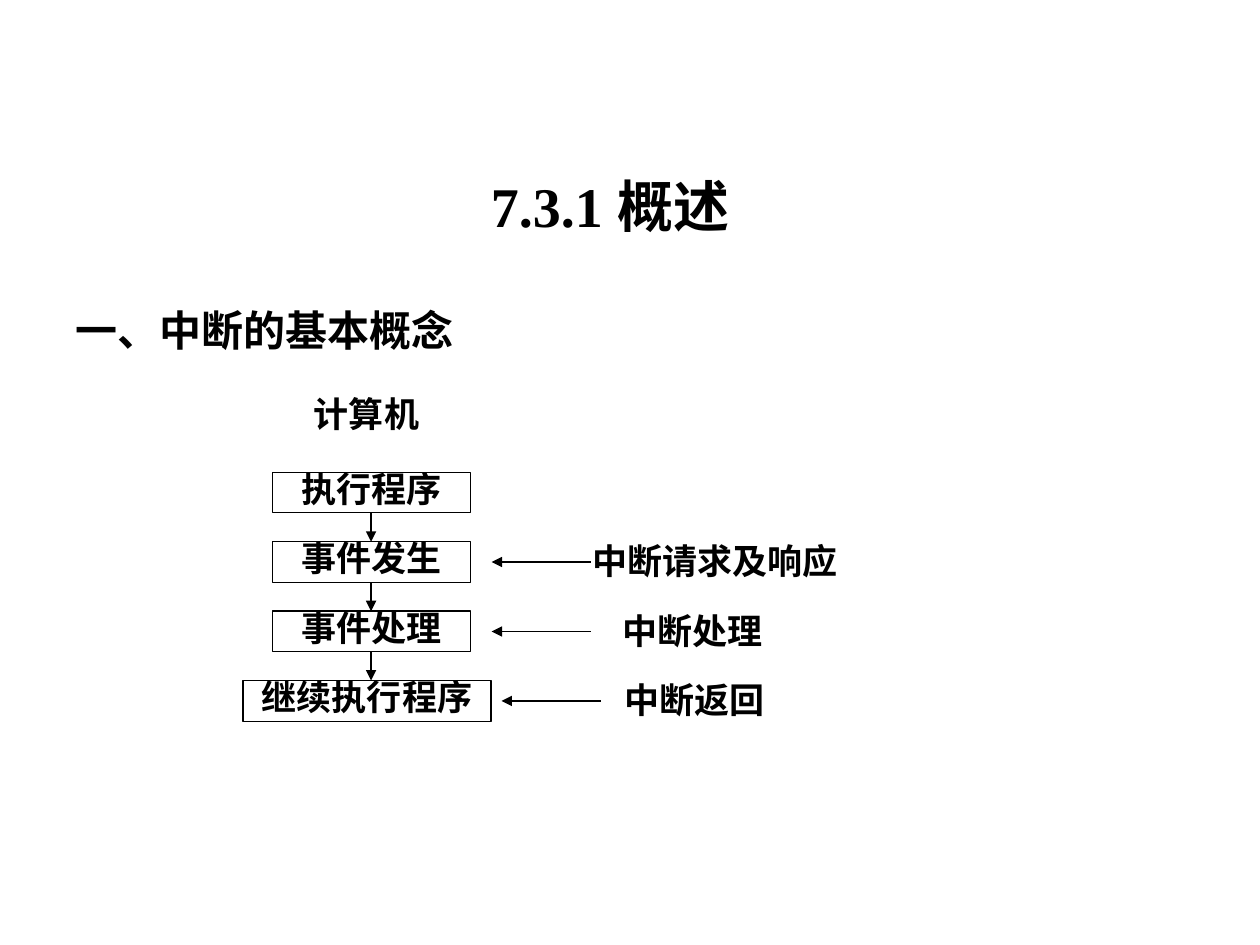
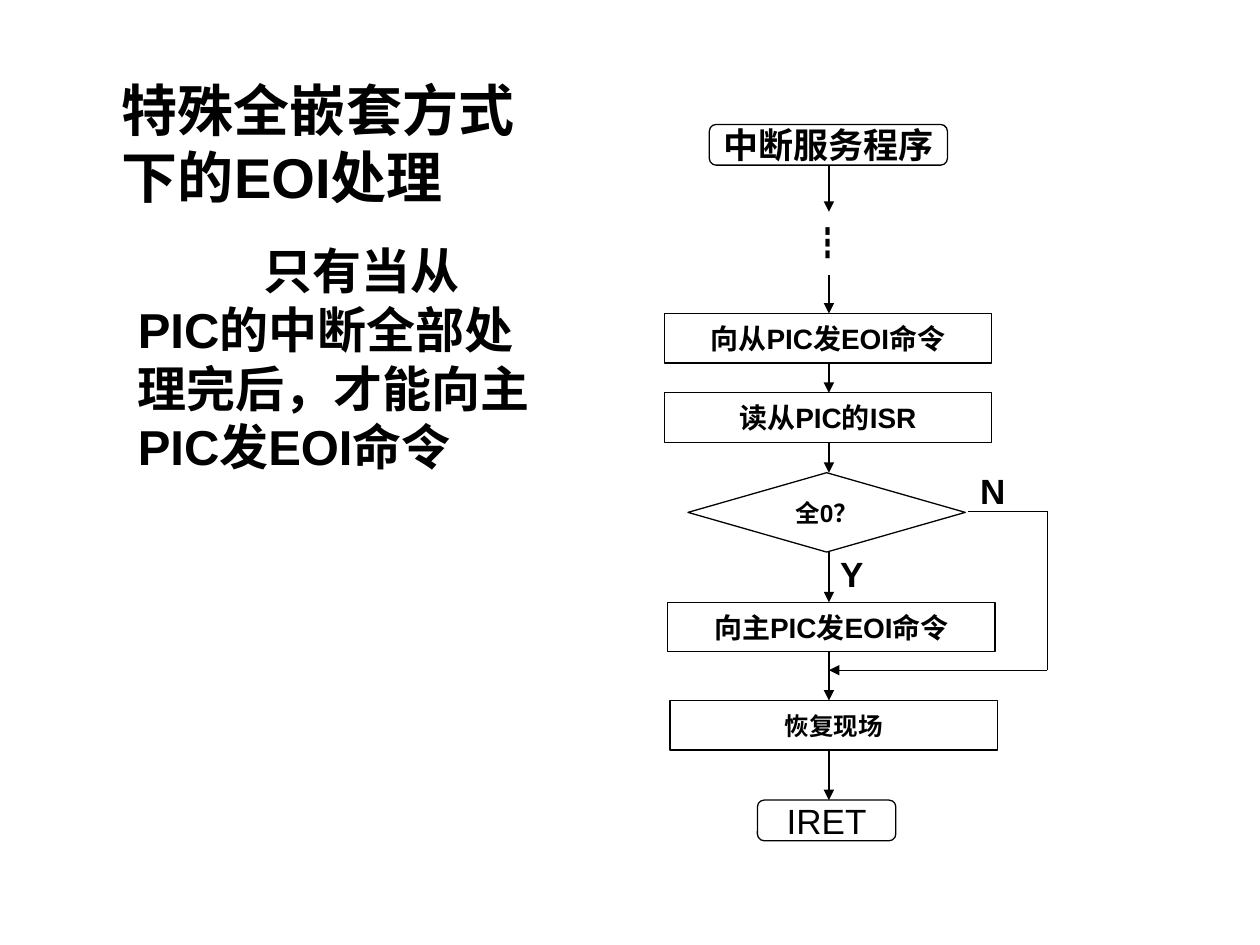
from itertools import pairwise

from lxml.etree import SubElement
from pptx import Presentation
from pptx.dml.color import RGBColor
from pptx.enum.shapes import MSO_CONNECTOR, MSO_SHAPE
from pptx.enum.text import MSO_ANCHOR, PP_ALIGN
from pptx.oxml.ns import qn
from pptx.util import Cm, Pt

COLORS = {"ink": "000000"}
SERIF, SANS, CJK = "Times New Roman", "Arial", "Noto Sans CJK SC"
INK = RGBColor.from_string(COLORS["ink"])
LINE_WIDTH = Pt(0.75)
TITLE_SIZE = 32


def style_paragraph(p, size, font=SANS, bold=True, align=PP_ALIGN.CENTER):
    p.alignment = align
    p.font.name = font
    p.font.size = Pt(size)
    p.font.bold = bold
    p.font.color.rgb = INK
    SubElement(p._p.pPr.find(qn("a:defRPr")), qn("a:ea"), typeface=CJK)


def clear_margins(tf):
    tf.margin_left = tf.margin_top = tf.margin_right = tf.margin_bottom = 0


def add_text(slide, text, left, top, width, height, size=20, **style):
    tf = slide.shapes.add_textbox(Cm(left), Cm(top), Cm(width), Cm(height)).text_frame
    clear_margins(tf)
    tf.word_wrap = True
    p = tf.paragraphs[0]
    p.text = text
    style_paragraph(p, size, **style)
    return tf


def add_box(slide, kind, text, left, top, width, height, size=20, **style):
    sp = slide.shapes.add_shape(kind, Cm(left), Cm(top), Cm(width), Cm(height))
    sp.shadow.inherit = False
    sp.fill.background()
    sp.line.color.rgb = INK
    sp.line.width = LINE_WIDTH
    tf = sp.text_frame
    clear_margins(tf)
    tf.word_wrap = False
    tf.vertical_anchor = MSO_ANCHOR.MIDDLE
    p = tf.paragraphs[0]
    p.text = text
    style_paragraph(p, size, **style)
    return tf


def add_line(slide, x1, y1, x2, y2, arrow=True):
    line = slide.shapes.add_connector(
        MSO_CONNECTOR.STRAIGHT, Cm(x1), Cm(y1), Cm(x2), Cm(y2))
    line.line.color.rgb = INK
    line.line.width = LINE_WIDTH
    if arrow:
        SubElement(line.line._get_or_add_ln(), qn("a:tailEnd"), type="triangle")
    SubElement(line._element.spPr, qn("a:effectLst"))


def build_overview(slide):
    add_text(slide, "7.3.1 概述", 7.7, 3.45, 9.2, 1.4, TITLE_SIZE, font=SERIF)
    add_text(slide, "一、中断的基本概念", 1.52, 6.13, 12, 1.2, 24, align=PP_ALIGN.LEFT)
    add_text(slide, "计算机", 5.89, 7.92, 3, 0.84)

    axis, first_top, pitch, height = 7.48, 9.52, 1.4, 0.82
    steps = [("执行程序", 5.49, 3.99), ("事件发生", 5.49, 3.99),
             ("事件处理", 5.49, 3.99), ("继续执行程序", 4.9, 5)]
    for i, (text, left, width) in enumerate(steps):
        top = first_top + i * pitch
        tf = add_box(slide, MSO_SHAPE.RECTANGLE, text, left, top, width, height, font=SERIF)
        tf.vertical_anchor = MSO_ANCHOR.TOP
        tf.paragraphs[0].line_spacing = 0.9
        if i:
            add_line(slide, axis, top - pitch + height, axis, top)

    phases = [("中断请求及响应", 14.41, 9.91), ("中断处理", 13.97, 9.91),
              ("中断返回", 14, 10.11)]
    for i, (text, center, tip) in enumerate(phases, start=1):
        top = first_top + i * pitch
        add_text(slide, text, center - 2.6, top - 0.04, 5.2, height, font=SERIF)
        add_line(slide, tip + 2, top + height / 2, tip, top + height / 2)


def build_eoi_handling(slide):
    tf = add_text(slide, "特殊全嵌套方式下的EOI处理", 2.46, 1.52, 8.23, 9.25,
                  TITLE_SIZE, align=PP_ALIGN.LEFT)
    p = tf.add_paragraph()
    p.text = "只有当从PIC的中断全部处理完后，才能向主PIC发EOI命令"
    p.space_before = Pt(17.5)
    p._p.get_or_add_pPr().set("marL", str(Cm(0.32)))
    p._p.pPr.set("indent", str(Cm(2.54)))
    style_paragraph(p, 28, align=PP_ALIGN.LEFT)

    axis = 16.71
    terminator = MSO_SHAPE.FLOWCHART_ALTERNATE_PROCESS
    process = MSO_SHAPE.FLOWCHART_PROCESS
    decision = MSO_SHAPE.FLOWCHART_DECISION
    add_box(slide, terminator, "中断服务程序", 14.3, 2.51, 4.8, 0.82)
    add_line(slide, axis, 3.33, axis, 4.27)
    add_text(slide, "┇", 16.33, 4.47, 0.81, 0.84, font=CJK, align=PP_ALIGN.LEFT)
    add_line(slide, axis, 5.54, axis, 6.32)

    steps = [
        (process, "向从PIC发EOI命令", 13.39, 6.32, 6.6, 1, 16),
        (process, "读从PIC的ISR", 13.39, 7.92, 6.6, 1, 16),
        (decision, "全0？", 13.87, 9.53, 5.59, 1.6, 14),
        (process, "向主PIC发EOI命令", 13.46, 12.14, 6.6, 1, 16),
        (process, "恢复现场", 13.51, 14.12, 6.6, 1, 14),
        (terminator, "IRET", 15.27, 16.13, 2.79, 0.82, 20),
    ]
    for step in steps:
        add_box(slide, *step, bold=step[1] != "IRET")
    for upper, lower in pairwise(steps):
        add_line(slide, axis, upper[3] + upper[5], axis, lower[3])

    bypass, branch_y, merge_y = 21.11, 10.31, 13.51
    add_line(slide, 19.51, branch_y, bypass, branch_y, arrow=False)
    add_line(slide, bypass, branch_y, bypass, merge_y, arrow=False)
    add_line(slide, bypass, merge_y, axis, merge_y)
    add_text(slide, "Y", 16.87, 11.13, 0.61, 0.84)
    add_text(slide, "N", 19.71, 9.47, 0.61, 0.84)


def main():
    prs = Presentation()
    prs.slide_width, prs.slide_height = Cm(25.4), Cm(19.05)
    for build in (build_overview, build_eoi_handling):
        build(prs.slides.add_slide(prs.slide_layouts[6]))
    prs.save("out.pptx")


if __name__ == "__main__":
    main()
